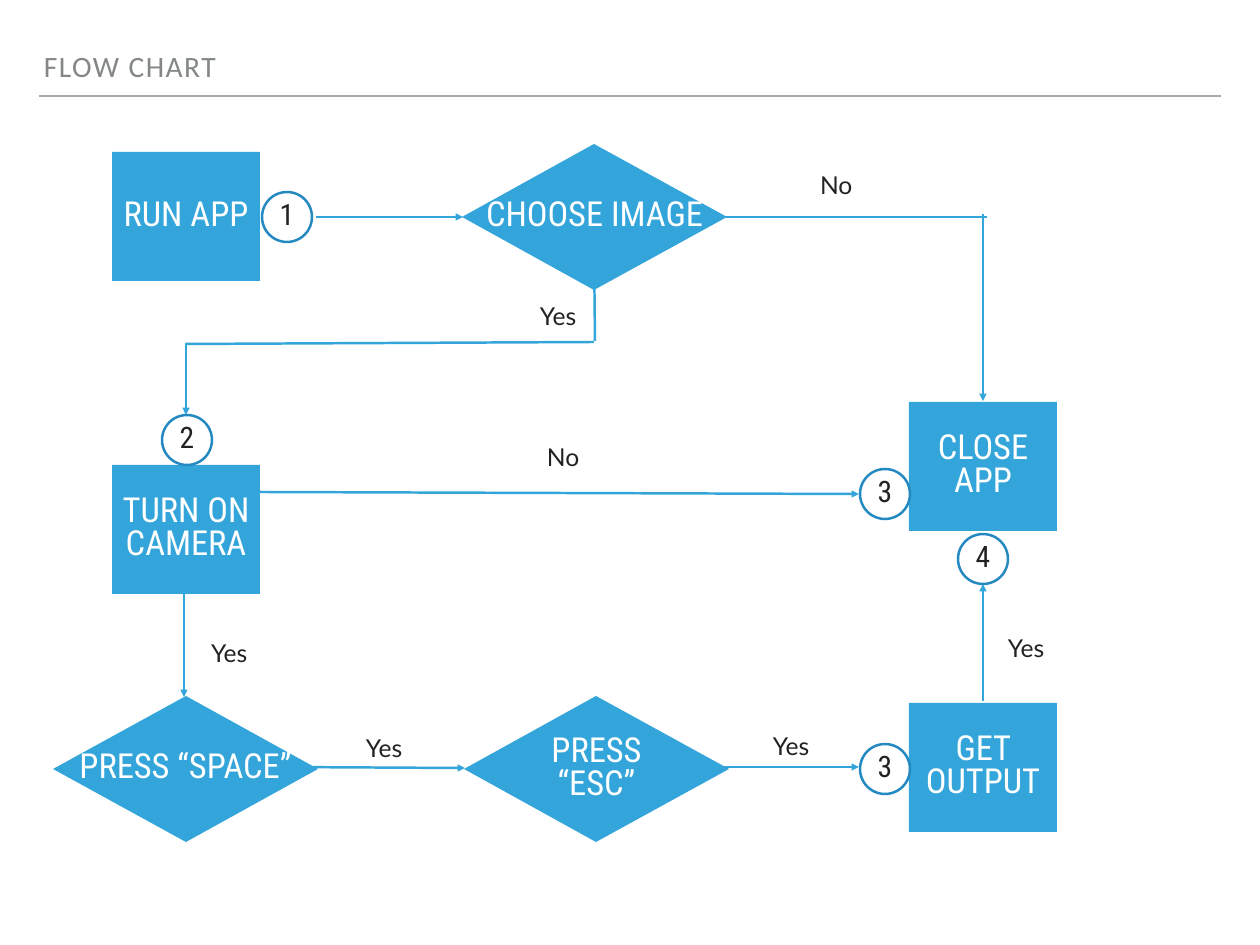
from lxml.etree import SubElement
from pptx import Presentation
from pptx.dml.color import RGBColor
from pptx.enum.shapes import MSO_CONNECTOR, MSO_SHAPE
from pptx.enum.text import MSO_ANCHOR, MSO_AUTO_SIZE, PP_ALIGN
from pptx.oxml.ns import qn
from pptx.util import Pt

EMU_PER_PIXEL = 914400 / 88.6
BLUE, RING_BLUE, WHITE = "34A5DA", "2389C0", "FFFFFF"
INK, TITLE_GRAY, RULE_GRAY = "222222", "838787", "A6AAA9"

STEPS = [
    ("RUN APP", 112, 152),
    ("TURN ON CAMERA", 112, 465),
    ("CLOSE APP", 909, 402),
    ("GET OUTPUT", 909, 703),
]
DECISIONS = [
    ("CHOOSE IMAGE", 462, 144),
    ("PRESS “SPACE”", 53, 696),
    ("PRESS\n“ESC”", 464, 696),
]
ARROWS = [
    (316, 217, 463, 217),
    (983, 214, 983, 401),
    (186, 343, 186, 415),
    (260, 492, 859, 494),
    (184, 586, 184, 697),
    (282, 767, 465, 768),
    (677, 767, 859, 767),
    (983, 701, 983, 584),
]
PLAIN_LINES = [
    (722, 217, 987, 217),
    (594, 240, 595, 341),
    (186, 344, 594, 342),
]
MARKERS = [
    ("1", 262, 192),
    ("2", 162, 415),
    ("3", 860, 469),
    ("3", 860, 744),
    ("4", 958, 534),
]
ANSWERS = [
    ("No", 815, 185),
    ("Yes", 535, 316),
    ("No", 542, 457),
    ("Yes", 206, 653),
    ("Yes", 1003, 648),
    ("Yes", 361, 748),
    ("Yes", 768, 746),
]


def px(*lengths):
    return [round(length * EMU_PER_PIXEL) for length in lengths]


def color(hex_string):
    return RGBColor.from_string(hex_string)


def write(shape, text, font="Roboto Condensed", size=28, ink=WHITE,
          align=PP_ALIGN.CENTER, anchor=MSO_ANCHOR.MIDDLE, line_spacing=0.8,
          tracking=0):
    frame = shape.text_frame
    frame.word_wrap = True
    frame.auto_size = MSO_AUTO_SIZE.NONE
    frame.vertical_anchor = anchor
    frame.margin_left, frame.margin_right = px(5, 5)
    frame.margin_top, frame.margin_bottom = px(5, 5)
    frame.text = text
    for paragraph in frame.paragraphs:
        paragraph.alignment = align
        paragraph.line_spacing = line_spacing
        for run in paragraph.runs:
            run.font.name = font
            run.font.size = Pt(size)
            run.font.bold = False
            run.font.color.rgb = color(ink)
            if tracking:
                run.font._element.set("spc", str(tracking))


def fill_node(node, text):
    node.shadow.inherit = False
    node.fill.solid()
    node.fill.fore_color.rgb = color(BLUE)
    node.line.fill.background()
    write(node, text)


def add_step(slide, text, left, top):
    step = slide.shapes.add_shape(MSO_SHAPE.RECTANGLE, *px(left, top, 148, 129))
    fill_node(step, text)


def add_decision(slide, text, left, top, width=265, height=146):
    middle_x, middle_y = left + width / 2, top + height / 2
    outline = slide.shapes.build_freeform(left, middle_y, scale=EMU_PER_PIXEL)
    outline.add_line_segments([
        (middle_x, top + height), (left + width, middle_y), (middle_x, top),
    ])
    fill_node(outline.convert_to_shape(), text)


def add_line(slide, *ends, stroke=BLUE, arrow=False):
    line = slide.shapes.add_connector(MSO_CONNECTOR.STRAIGHT, *px(*ends))
    line.line.color.rgb = color(stroke)
    line.line.width = Pt(2)
    if arrow:
        SubElement(line.line._get_or_add_ln(), qn("a:tailEnd"), type="triangle")
    SubElement(line._element.spPr, qn("a:effectLst"))


def add_marker(slide, number, left, top):
    ring = slide.shapes.add_shape(MSO_SHAPE.OVAL, *px(left, top, 50, 50))
    ring.shadow.inherit = False
    ring.fill.background()
    ring.line.color.rgb = color(RING_BLUE)
    ring.line.width = Pt(2)
    write(ring, number, size=24, ink=INK)


def add_answer(slide, text, left, middle):
    answer = slide.shapes.add_textbox(*px(left, middle - 21, 64, 42))
    write(answer, text, font="Lato", size=20, ink=INK, align=PP_ALIGN.LEFT,
          line_spacing=1.0)


def add_title(slide, text):
    title = slide.shapes.title
    title.left, title.top, title.width, title.height = px(39, 44, 1083, 44)
    write(title, text, font="Calibri", size=24, ink=TITLE_GRAY,
          align=PP_ALIGN.LEFT, anchor=MSO_ANCHOR.BOTTOM, tracking=120)


def main():
    deck = Presentation()
    deck.slide_width, deck.slide_height = px(1260, 945)
    slide = deck.slides.add_slide(deck.slide_layouts[5])
    add_title(slide, "FLOW CHART")
    add_line(slide, 39, 96, 1221, 96, stroke=RULE_GRAY)
    for step in STEPS:
        add_step(slide, *step)
    for decision in DECISIONS:
        add_decision(slide, *decision)
    for ends in PLAIN_LINES:
        add_line(slide, *ends)
    for ends in ARROWS:
        add_line(slide, *ends, arrow=True)
    for marker in MARKERS:
        add_marker(slide, *marker)
    for answer in ANSWERS:
        add_answer(slide, *answer)
    deck.save("out.pptx")


main()
